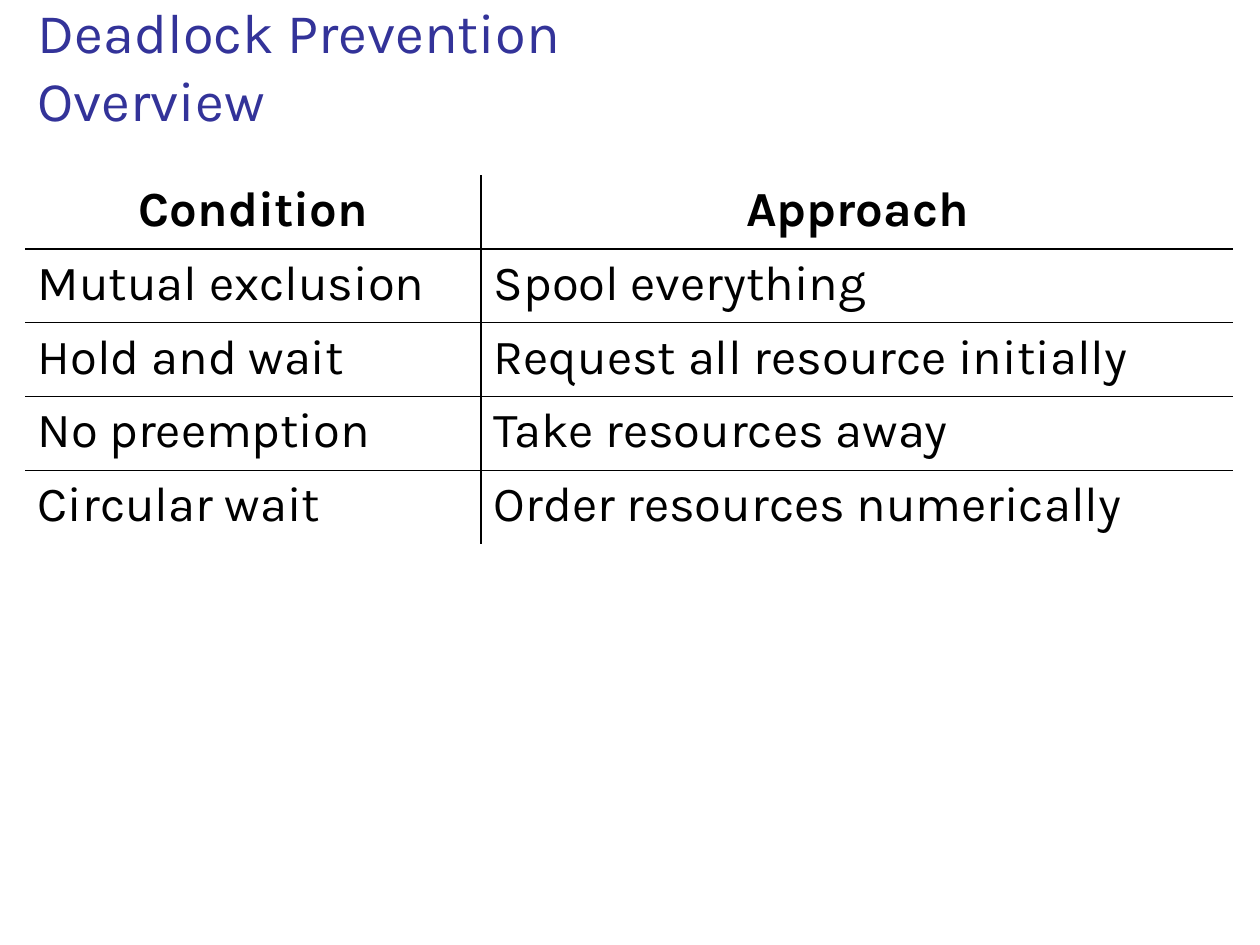
from pptx import Presentation
from pptx.dml.color import RGBColor
from pptx.enum.text import MSO_ANCHOR as Anchor, PP_ALIGN as Align
from pptx.oxml.ns import qn
from pptx.util import Inches, Pt
from lxml.etree import SubElement

FONT = "Karla"
BLACK = "000000"
TITLE_LINES = ("Deadlock Prevention", "Overview")
ROWS = (
    ("Condition", "Approach"),
    ("Mutual exclusion", "Spool everything"),
    ("Hold and wait", "Request all resource initially"),
    ("No preemption", "Take resources away"),
    ("Circular wait", "Order resources numerically"),
)
COLUMN_WIDTHS = (3.62, 5.97)
THICK, THIN = 1.08, 0.45


def color(value):
    return RGBColor.from_string(value)


def format_font(font, value, **settings):
    for name, setting in {"name": FONT, **settings}.items():
        setattr(font, name, setting)
    font.color.rgb = color(value)


def add_title(slide, left, top, width, height):
    box = slide.shapes.add_textbox(*map(Inches, (left, top, width, height)))
    frame = box.text_frame
    settings = {
        "word_wrap": True,
        "vertical_anchor": Anchor.BOTTOM,
        "margin_bottom": Inches(0.02),
    }
    for name, setting in settings.items():
        setattr(frame, name, setting)
    paragraph = frame.paragraphs[0]
    paragraph.text = "\v".join(TITLE_LINES)
    for run in paragraph.runs:
        format_font(run.font, "333399", size=Pt(32))


def set_border(cell, side, width):
    """Draw one side (L, R, T or B) of a cell; a width of None hides it."""
    properties = cell._tc.get_or_add_tcPr()
    line = SubElement(properties, qn(f"a:ln{side}"))
    if width is None:
        SubElement(line, qn("a:noFill"))
        return
    line.set("w", str(Pt(width)))
    fill = SubElement(line, qn("a:solidFill"))
    SubElement(fill, qn("a:srgbClr"), val=BLACK)


def rule_width(index):
    """Width of the horizontal rule above the row with this index."""
    if index in (0, len(ROWS)):
        return None
    return THICK if index == 1 else THIN


def add_conditions_table(slide, left, top, width, height):
    frame = slide.shapes.add_table(
        len(ROWS), len(COLUMN_WIDTHS), *map(Inches, (left, top, width, height)))
    table = frame.table
    table.first_row = table.horz_banding = False
    for column, column_width in zip(table.columns, COLUMN_WIDTHS):
        column.width = Inches(column_width)
    for row_index, texts in enumerate(ROWS):
        header = row_index == 0
        for column_index, text in enumerate(texts):
            cell = table.cell(row_index, column_index)
            borders = {
                "L": THICK if column_index == 1 else None,
                "R": THICK if column_index == 0 else None,
                "T": rule_width(row_index),
                "B": rule_width(row_index + 1),
            }
            for side, border_width in borders.items():
                set_border(cell, side, border_width)
            cell.fill.background()
            paragraph = cell.text_frame.paragraphs[0]
            paragraph.alignment = Align.CENTER if header else Align.LEFT
            run = paragraph.add_run()
            run.text = text
            format_font(run.font, BLACK, size=Pt(28), bold=header)


def main():
    presentation = Presentation()
    presentation.slide_width = Inches(10)
    presentation.slide_height = Inches(7.5)
    slide = presentation.slides.add_slide(presentation.slide_layouts[6])
    add_title(slide, 0.2, 0.23, 9.59, 0.84)
    add_conditions_table(slide, 0.2, 1.39, sum(COLUMN_WIDTHS), 2.93)
    presentation.save("out.pptx")


if __name__ == "__main__":
    main()
